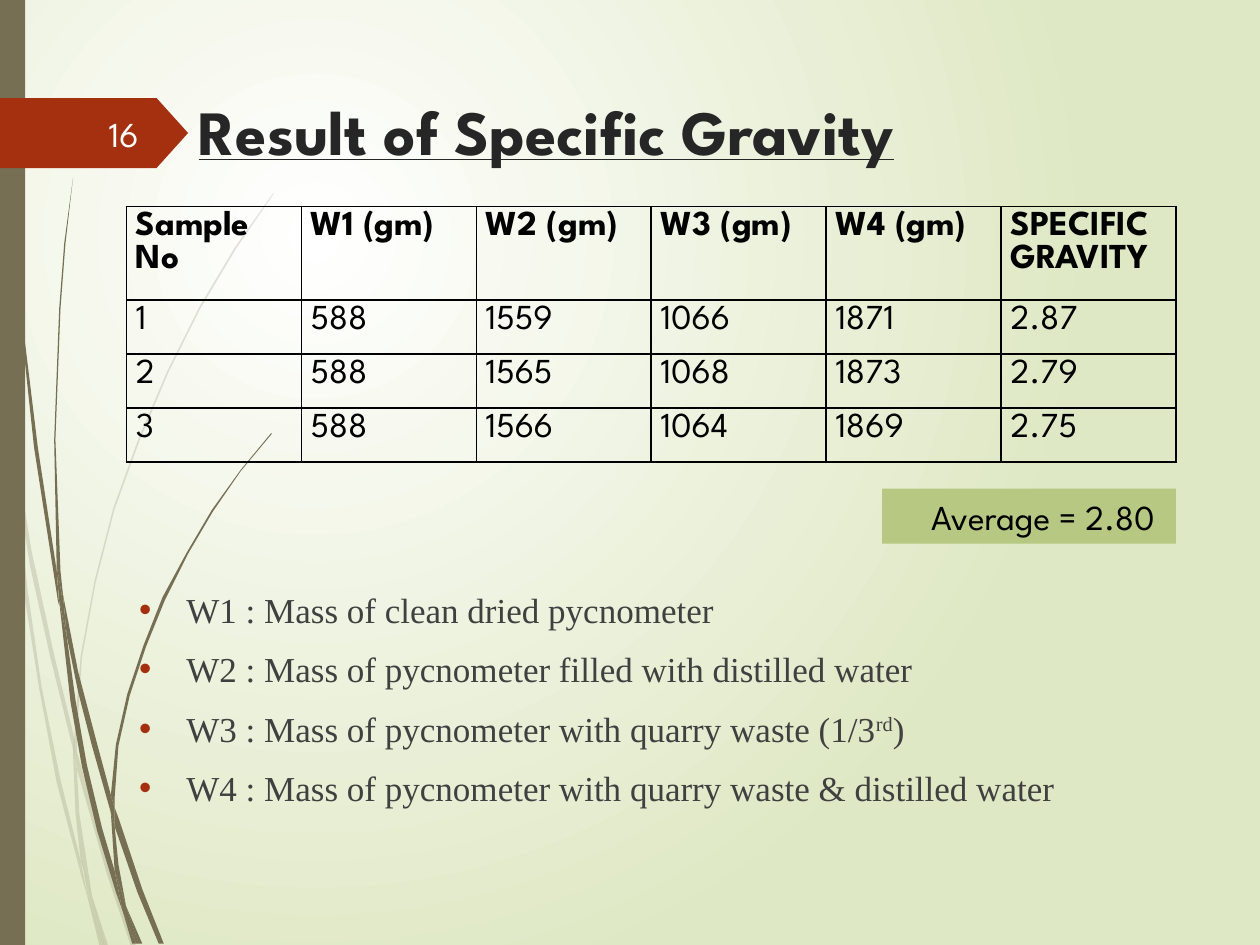
from lxml import etree
from pptx import Presentation
from pptx.dml.color import RGBColor
from pptx.enum.shapes import MSO_SHAPE
from pptx.enum.text import MSO_ANCHOR, PP_ALIGN
from pptx.oxml import parse_xml
from pptx.oxml.ns import nsdecls, qn
from pptx.util import Pt

RECTANGLE, PENTAGON = MSO_SHAPE.RECTANGLE, MSO_SHAPE.PENTAGON
TOP, MIDDLE = MSO_ANCHOR.TOP, MSO_ANCHOR.MIDDLE
RIGHT = PP_ALIGN.RIGHT


class Theme:
    heading_font, body_font = "League Spartan", "Times New Roman"
    title_size, text_size = Pt(36), Pt(20)
    white = RGBColor(0xFF, 0xFF, 0xFF)
    pale_green = RGBColor(0xDF, 0xE8, 0xC4)
    green = RGBColor(0xB6, 0xC8, 0x82)
    olive = RGBColor(0x76, 0x6F, 0x54)
    red = RGBColor(0xA5, 0x30, 0x10)
    number = RGBColor(0xFE, 0xFF, 0xFF)
    title = RGBColor(0x26, 0x26, 0x26)
    body = RGBColor(0x40, 0x40, 0x40)
    black = RGBColor(0, 0, 0)


def style(paragraph, color, font=Theme.heading_font, size=Theme.text_size, bold=False):
    paragraph.font.name = font
    paragraph.font.size = size
    paragraph.font.bold = bold
    paragraph.font.color.rgb = color


def add_box(left, top, width, height, fill=None, kind=RECTANGLE, anchor=MIDDLE):
    area = Pt(left), Pt(top), Pt(width), Pt(height)
    if fill is None:
        box = slide.shapes.add_textbox(*area)
    else:
        box = slide.shapes.add_shape(kind, *area)
        box.shadow.inherit = False
        box.fill.solid()
        box.fill.fore_color.rgb = fill
        box.line.fill.background()
    box.text_frame.word_wrap = True
    box.text_frame.vertical_anchor = anchor
    return box


presentation = Presentation()
presentation.slide_width, presentation.slide_height = Pt(720), Pt(540)
slide = presentation.slides.add_slide(presentation.slide_layouts[6])

background = slide.background.fill
background.gradient()
for stop, color, position in zip(background.gradient_stops, (Theme.white, Theme.pale_green), (0, 1)):
    stop.color.rgb = color
    stop.position = position
gradient = slide.background._cSld.find(".//" + qn("a:gradFill"))
linear = gradient.find(qn("a:lin"))
gradient.replace(linear, parse_xml(
    f'<a:path {nsdecls("a")} path="circle">'
    '<a:fillToRect l="50000" t="50000" r="100000" b="100000"/></a:path>'))

grass_unit = Pt(0.72)
pale_grass = [
    [(8, 350), (6, 322), (0, 282), (0, 299), (7, 344)],
    [(40, 522), (59, 599), (59, 586), (43, 520), (25, 437), (10, 345), (12, 376), (24, 450)],
    [(64, 607), (61, 596), (61, 610), (85, 694), (104, 751), (108, 751), (88, 692)],
    [(83, 751), (86, 751), (73, 711)],
    [(64, 683), (48, 619), (33, 545), (22, 469), (12, 376), (8, 350), (12, 410), (19, 470),
     (31, 546), (45, 621), (64, 693), (70, 714)],
    [(58, 599), (60, 646), (64, 683), (67, 692), (73, 711), (63, 646), (61, 610)],
    [(61, 584), (65, 522), (76, 462), (91, 404), (111, 349), (134, 295), (159, 245), (187, 198),
     (217, 154), (217, 153), (186, 197), (158, 244), (133, 294), (110, 348), (90, 403),
     (75, 461), (64, 521), (59, 584), (59, 586), (61, 596)],
    [(70, 714), (79, 751), (82, 751)],
    [(61, 608), (61, 596), (59, 586), (58, 599)],
    [(67, 692), (65, 683), (69, 707), (70, 714), (82, 751), (83, 751), (73, 711)],
]
dark_grass = [
    [(5, 110), (14, 233), (27, 355), (46, 477), (47, 481), (45, 453), (30, 355), (15, 232),
     (6, 109), (4, 48), (3, 0), (2, 0), (3, 48)],
    [(73, 592), (88, 645), (88, 631), (77, 590), (62, 533), (50, 472), (53, 505), (62, 549)],
    [(94, 649), (91, 641), (91, 656), (109, 708), (126, 749), (130, 749), (113, 706)],
    [(91, 691), (81, 657), (69, 607), (60, 556), (53, 505), (47, 477), (56, 557), (65, 608),
     (77, 659), (92, 708), (97, 722)],
    [(50, 472), (48, 453), (44, 349), (48, 245), (52, 193), (58, 141), (51, 193), (47, 245),
     (43, 349), (45, 449), (49, 472)],
    [(110, 749), (113, 749), (100, 719)],
    [(47, 477), (53, 505), (50, 472), (49, 472), (45, 449), (45, 453)],
    [(91, 633), (94, 592), (103, 552), (116, 513), (131, 476), (149, 440), (169, 406), (191, 374),
     (216, 344), (215, 344), (191, 373), (168, 405), (148, 439), (129, 474), (114, 512),
     (101, 551), (92, 591), (88, 631), (91, 641)],
    [(97, 722), (105, 749), (108, 749)],
    [(88, 645), (91, 691), (96, 706), (100, 719), (94, 686), (91, 656)],
    [(88, 645), (91, 656), (91, 641), (88, 631)],
    [(96, 706), (91, 691), (97, 722), (108, 749), (110, 749), (100, 719)],
]
for grass, alpha in ((pale_grass, 20), (dark_grass, 100)):
    for outline in grass:
        builder = slide.shapes.build_freeform(*outline[0], scale=grass_unit)
        builder.add_line_segments(outline[1:], close=True)
        blade = builder.convert_to_shape()
        blade.shadow.inherit = False
        blade.fill.solid()
        blade.fill.fore_color.rgb = Theme.olive
        blade.line.fill.background()
        if alpha < 100:
            color = blade._element.spPr.find(".//" + qn("a:srgbClr"))
            etree.SubElement(color, qn("a:alpha"), val=str(alpha * 1000))

add_box(0, 0, 14.4, 540, Theme.olive)
number_arrow = add_box(0, 56, 107.5, 40, Theme.red, PENTAGON)
number_arrow.adjustments[0] = 0.45

title_frame = add_box(106.5, 49, 565.5, 56).text_frame
title_frame.margin_top, title_frame.margin_bottom = 0, Pt(5)
title = title_frame.paragraphs[0]
title.text = "Result of Specific Gravity"
style(title, Theme.title, size=Theme.title_size, bold=True)
title.font.underline = True

definitions = [
    ["W1 : Mass of clean dried pycnometer"],
    ["W2 : Mass of pycnometer filled with distilled water"],
    ["W3 : Mass of pycnometer with quarry waste (1/3", "rd", ")"],
    ["W4 : Mass of pycnometer with quarry waste & distilled water"],
]
body = add_box(72.4, 332.5, 600, 190, anchor=TOP).text_frame
for index, parts in enumerate(definitions):
    paragraph = body.paragraphs[0] if index == 0 else body.add_paragraph()
    properties = paragraph._p.get_or_add_pPr()
    properties.set("marL", str(Pt(27)))
    properties.set("indent", str(-Pt(27)))
    if index:
        paragraph.space_before = Pt(10)
    bullet_color = etree.SubElement(properties, qn("a:buClr"))
    etree.SubElement(bullet_color, qn("a:srgbClr"), val=str(Theme.red))
    etree.SubElement(properties, qn("a:buFont"), typeface="Arial")
    etree.SubElement(properties, qn("a:buChar"), char="•")
    style(paragraph, Theme.body, font=Theme.body_font)
    for part in parts:
        run = paragraph.add_run()
        run.text = part
        if part == "rd":
            run.font._element.set("baseline", "30000")

results = [
    ["Sample No", "W1 (gm)", "W2 (gm)", "W3 (gm)", "W4 (gm)", "SPECIFIC GRAVITY"],
    ["1", "588", "1559", "1066", "1871", "2.87"],
    ["2", "588", "1565", "1068", "1873", "2.79"],
    ["3", "588", "1566", "1064", "1869", "2.75"],
]
row_heights = [53, 30.9, 30.9, 30.9]
table = slide.shapes.add_table(
    len(results), len(results[0]), Pt(72.2), Pt(118), Pt(600), Pt(sum(row_heights))).table
table.first_row = table.horz_banding = False
for column in table.columns:
    column.width = Pt(100)
for row_index, (row, height, values) in enumerate(zip(table.rows, row_heights, results)):
    row.height = Pt(height)
    for cell, value in zip(row.cells, values):
        cell.margin_left = cell.margin_right = Pt(5.4)
        cell.margin_top = cell.margin_bottom = Pt(2.7)
        cell.text = value
        style(cell.text_frame.paragraphs[0], Theme.black, bold=row_index == 0)
        properties = cell._tc.get_or_add_tcPr()
        for side in ("lnL", "lnR", "lnT", "lnB"):
            border = etree.SubElement(properties, qn("a:" + side), w=str(Pt(1)))
            border_fill = etree.SubElement(border, qn("a:solidFill"))
            etree.SubElement(border_fill, qn("a:srgbClr"), val=str(Theme.black))
        cell.fill.background()

slide_number = add_box(40.2, 61.8, 46, 29).text_frame.paragraphs[0]
slide_number.text = "16"
slide_number.alignment = RIGHT
style(slide_number, Theme.number)

average = add_box(504, 279.2, 168, 31.5, Theme.green).text_frame.paragraphs[0]
average.text = "Average = 2.80 "
average.alignment = RIGHT
style(average, Theme.black)

presentation.save("out.pptx")
